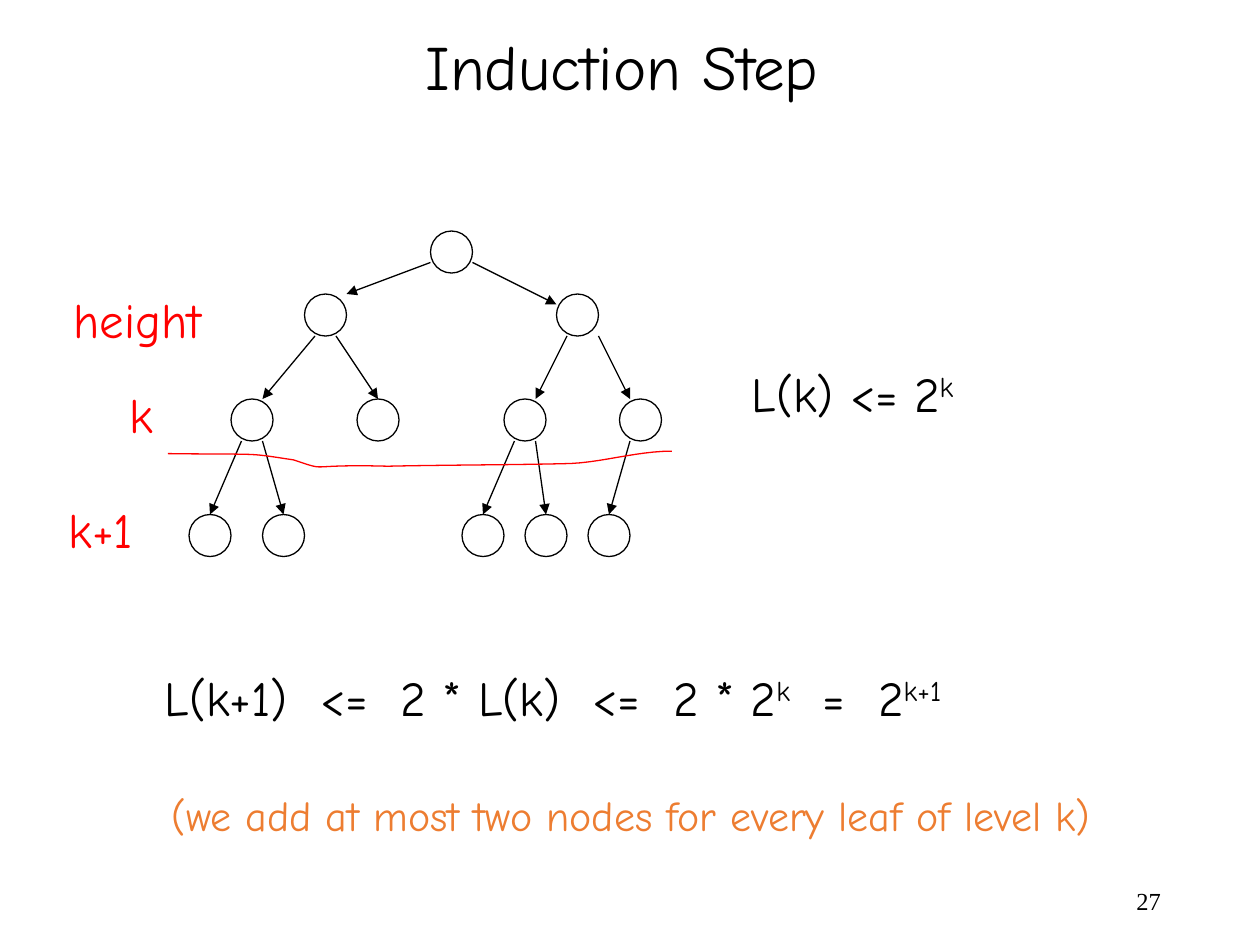
from lxml.etree import SubElement
from pptx import Presentation
from pptx.dml.color import RGBColor
from pptx.enum.shapes import MSO_CONNECTOR as Connector, MSO_SHAPE as Shape
from pptx.enum.text import MSO_ANCHOR as Anchor, MSO_AUTO_SIZE as AutoSize, PP_ALIGN as Align
from pptx.oxml.ns import qn
from pptx.util import Pt

COLORS = {"ink": "000000", "level": "FF0000", "remark": "ED7D31"}
FONT = "Comic Neue"
NODE = 24  # node diameter

# Text: spans alternate between normal and superscript
# (left, top, width, height, size, color, spans)
TEXTS = [
    (236, 12, 241, 50.5, 36, "ink", ["Induction Step"]),
    (422.5, 204, 130, 41, 28, "ink", ["L(k) <= 2", "k"]),
    (87, 378, 459, 41, 28, "ink",
     ["L(k+1)  <=  2 * L(k)  <=  2 * 2", "k", "  =  2", "k+1"]),
    (35, 162, 90, 41, 28, "level", ["height"]),
    (67, 216, 29, 41, 28, "level", ["k"]),
    (32, 282, 54, 41, 28, "level", ["k+1"]),
    (91, 447.5, 542, 36, 24, "remark",
     ["(we add at most two nodes for every leaf of level k)"]),
]

# Tree: top of each level with the left edges of its nodes
LEVELS = [
    (132, [246]),
    (168, [174, 318]),
    (228, [132, 204, 288, 354]),
    (294, [108, 150, 264, 300, 336]),
]
# Parent and child by number, then the arrow's offset from each one's corner
EDGES = [
    (0, 1, (0, 18), (24, 0)), (0, 2, (24, 18), (0, 6)),
    (1, 3, (6, 24), (18, 0)), (1, 4, (18, 24), (12, 0)),
    (2, 5, (6, 24), (18, 0)), (2, 6, (24, 24), (6, 0)),
    (3, 7, (6, 24), (12, 0)), (3, 8, (18, 24), (12, 0)),
    (5, 9, (6, 24), (12, 0)), (5, 10, (18, 24), (12, 0)),
    (6, 11, (6, 24), (12, 0)),
]
# Divider below level k: start, then cubic Bezier segments
DIVIDER_START = (96, 259.2)
DIVIDER = [
    ((152.6, 259.9), (139, 258.5), (167.8, 262.8)),
    ((189.4, 270), (172.1, 265), (221.8, 266.4)),
    ((254.9, 265.7), (288, 265.7), (321.1, 265)),
    ((342, 265), (362.9, 257.8), (384, 257.8)),
]
STEPS = 12  # straight pieces per segment


def color(name):
    return RGBColor.from_string(COLORS[name])


def outline(shape, name):
    shape.line.color.rgb = color(name)
    shape.line.width = Pt(0.75)


def add_text(page, left, top, width, height, size, ink, spans, font=FONT):
    box = page.shapes.add_textbox(Pt(left), Pt(top), Pt(width), Pt(height))
    box.text_frame.word_wrap = False
    box.text_frame.auto_size = AutoSize.SHAPE_TO_FIT_TEXT
    para = box.text_frame.paragraphs[0]
    para.font.name, para.font.size = font, Pt(size)
    para.font.color.rgb = color(ink)
    for index, words in enumerate(spans):
        span = para.add_run()
        span.text = words
        if index % 2:
            span.font._element.set("baseline", "30000")
    return box


def add_arrow(page, start, end):
    ends = [Pt(value) for value in (*start, *end)]
    arrow = page.shapes.add_connector(Connector.STRAIGHT, *ends)
    outline(arrow, "ink")
    SubElement(arrow.line._get_or_add_ln(), qn("a:tailEnd"), type="triangle")
    SubElement(arrow._element.spPr, qn("a:effectLst"))


def bezier(points, t):
    weights = ((1 - t) ** 3, 3 * t * (1 - t) ** 2, 3 * t ** 2 * (1 - t), t ** 3)
    return tuple(Pt(sum(w * p[axis] for w, p in zip(weights, points)))
                 for axis in (0, 1))


def add_divider(page):
    start, vertices = DIVIDER_START, []
    for segment in DIVIDER:
        vertices += [bezier((start, *segment), step / STEPS)
                     for step in range(1, STEPS + 1)]
        start = segment[-1]
    builder = page.shapes.build_freeform(*(Pt(v) for v in DIVIDER_START))
    builder.add_line_segments(vertices, close=False)
    curve = builder.convert_to_shape()
    curve.shadow.inherit = False
    curve.fill.background()
    outline(curve, "level")


def main():
    deck = Presentation()
    deck.slide_width, deck.slide_height = Pt(720), Pt(540)
    page = deck.slides.add_slide(deck.slide_layouts[6])

    # Title, formulas, level labels and remark
    for text in TEXTS:
        add_text(page, *text)

    # Page number
    number = add_text(page, 508.5, 500, 162, 29, 14, "ink", ["27"], "Times New Roman")
    number.text_frame.auto_size = AutoSize.NONE
    number.text_frame.word_wrap = True
    number.text_frame.vertical_anchor = Anchor.MIDDLE
    number.text_frame.paragraphs[0].alignment = Align.RIGHT

    # Tree nodes
    nodes = [(left, top) for top, lefts in LEVELS for left in lefts]
    for left, top in nodes:
        node = page.shapes.add_shape(Shape.OVAL, Pt(left), Pt(top), Pt(NODE), Pt(NODE))
        node.shadow.inherit = False
        node.fill.background()
        outline(node, "ink")

    # Arrows from parent to child
    for parent, child, leave, enter in EDGES:
        start = [a + b for a, b in zip(nodes[parent], leave)]
        end = [a + b for a, b in zip(nodes[child], enter)]
        add_arrow(page, start, end)

    add_divider(page)
    deck.save("out.pptx")


if __name__ == "__main__":
    main()
